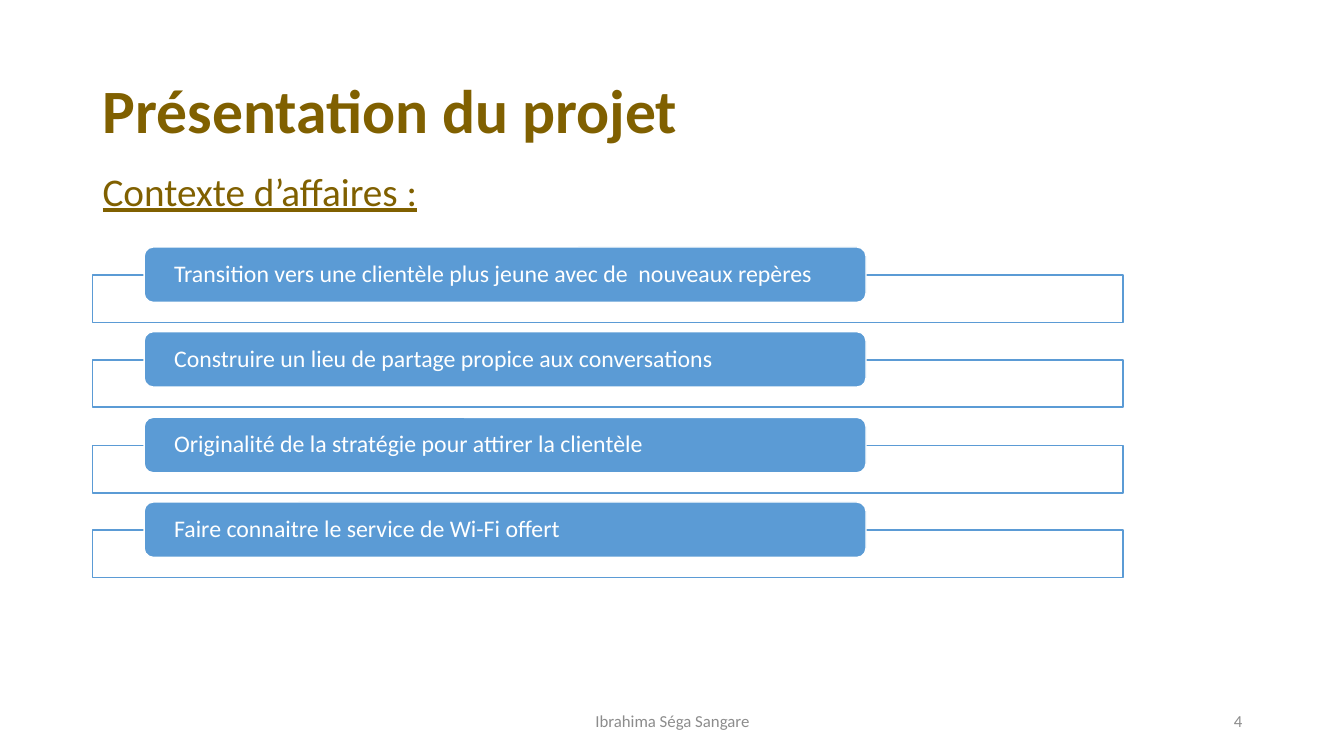
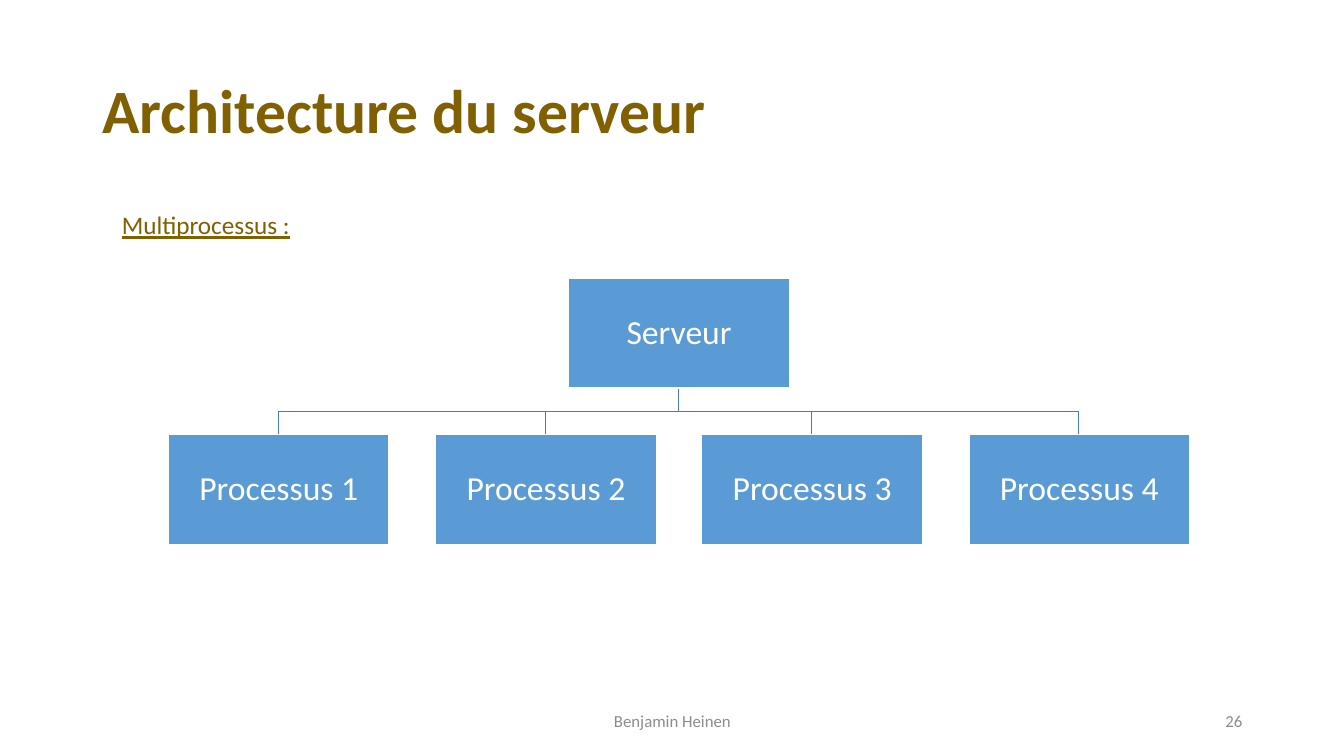
from dataclasses import dataclass

import pptx
import pptx.dml.color
import pptx.enum.shapes
import pptx.enum.text
import pptx.util

SHAPE = pptx.enum.shapes.MSO_SHAPE
ALIGN = pptx.enum.text.PP_ALIGN
ANCHOR = pptx.enum.text.MSO_ANCHOR


@dataclass(frozen=True)
class Theme:
    font: str = "Calibri"
    gold: str = "806000"
    blue: str = "5B9BD5"
    link: str = "497CAB"
    white: str = "FFFFFF"
    grey: str = "8C8C8C"
    title: int = 44
    heading: int = 28
    subheading: int = 18
    card: int = 17
    node: int = 24
    footer: int = 12


THEME = Theme()


def px(value):
    """Convert px (100 to the inch) to EMU."""
    return pptx.util.Emu(round(value) * 9144)


def rgb(value):
    return pptx.dml.color.RGBColor.from_string(value)


def write(shape, text, size, color, align=ALIGN.LEFT, anchor=ANCHOR.MIDDLE,
          spacing=None, bold=False, underline=False, insets=(10, 5)):
    """Put one styled paragraph in a shape; insets are (sides, top and bottom)."""
    frame = shape.text_frame
    frame.word_wrap = True
    frame.vertical_anchor = anchor
    frame.margin_left = frame.margin_right = px(insets[0])
    frame.margin_top = frame.margin_bottom = px(insets[1])
    paragraph = frame.paragraphs[0]
    paragraph.text = text
    paragraph.alignment = align
    if spacing:
        paragraph.line_spacing = spacing
    font = paragraph.font
    font.name = THEME.font
    font.size = pptx.util.Pt(size)
    font.color.rgb = rgb(color)
    font.bold = bold
    font.underline = underline


def add_text(slide, box, text, size, color, **style):
    label = slide.shapes.add_textbox(*map(px, box))
    write(label, text, size, color, **style)


def outline(shape, color):
    shape.shadow.inherit = False
    shape.line.color.rgb = rgb(color)
    shape.line.width = pptx.util.Pt(1)


def add_block(slide, preset, box, fill, line):
    block = slide.shapes.add_shape(preset, *map(px, box))
    block.fill.solid()
    block.fill.fore_color.rgb = rgb(fill)
    outline(block, line)
    return block


def add_branch(slide, start, end):
    """Draw an open bent line between (x, y) points, turning at half height."""
    (start_x, start_y), (end_x, end_y) = start, end
    turn_y = (start_y + end_y) / 2
    corners = [(start_x, turn_y), (end_x, turn_y), (end_x, end_y)]
    builder = slide.shapes.build_freeform(px(start_x), px(start_y))
    builder.add_line_segments([(px(x), px(y)) for x, y in corners], close=False)
    branch = builder.convert_to_shape()
    branch.fill.background()
    outline(branch, THEME.link)


def add_page(deck, title, author, number):
    """Add a blank slide with the shared title and footer."""
    slide = deck.slides.add_slide(deck.slide_layouts[6])
    add_text(slide, (92, 40, 1150, 145), title, THEME.title, THEME.gold,
             spacing=0.9, bold=True)
    add_text(slide, (442, 695, 450, 40), author, THEME.footer, THEME.grey,
             align=ALIGN.CENTER)
    add_text(slide, (942, 695, 300, 40), str(number), THEME.footer, THEME.grey,
             align=ALIGN.RIGHT)
    return slide


def add_cards(slide, topics):
    """Stack frames, each with a rounded label over its top edge."""
    first_top, last_top = 273, 526
    pitch = (last_top - first_top) / (len(topics) - 1)
    for index, topic in enumerate(topics):
        top = first_top + index * pitch
        add_block(slide, SHAPE.RECTANGLE, (92, top, 1022, 47),
                  THEME.white, THEME.blue)
        label = add_block(slide, SHAPE.ROUNDED_RECTANGLE,
                          (143, top - 28, 716, 55), THEME.blue, THEME.white)
        write(label, topic, THEME.card, THEME.white, spacing=0.9, insets=(27, 0))


def add_tree(slide, root_name, child_names):
    """Draw a root centred over its children, with the branches behind."""
    width, height = 219, 109
    root_top, child_top = 276, 431
    first_left, last_left = 167, 961
    root_left = (first_left + last_left) / 2
    pitch = (last_left - first_left) / (len(child_names) - 1)
    child_lefts = [first_left + index * pitch for index in range(len(child_names))]

    for left in child_lefts:
        add_branch(slide, (root_left + width // 2, root_top + height),
                   (left + width // 2, child_top))

    nodes = [(root_left, root_top, root_name)]
    nodes += [(left, child_top, name) for left, name in zip(child_lefts, child_names)]
    for left, top, name in nodes:
        node = add_block(slide, SHAPE.RECTANGLE, (left, top, width, height),
                         THEME.blue, THEME.white)
        write(node, name, THEME.node, THEME.white, align=ALIGN.CENTER,
              spacing=0.9, insets=(2, 2))


def main():
    deck = pptx.Presentation()
    deck.slide_width, deck.slide_height = px(1333), px(750)

    context = add_page(deck, "Présentation du projet", "Ibrahima Séga Sangare", 4)
    add_text(context, (92, 166, 1150, 476), "Contexte d’affaires :", THEME.heading,
             THEME.gold, anchor=ANCHOR.TOP, spacing=0.9, underline=True)
    add_cards(context, [
        "Transition vers une clientèle plus jeune avec de  nouveaux repères",
        "Construire un lieu de partage propice aux conversations",
        "Originalité de la stratégie pour attirer la clientèle",
        "Faire connaitre le service de Wi-Fi offert",
    ])

    server = add_page(deck, "Architecture du serveur", "Benjamin Heinen", 26)
    add_text(server, (111, 203, 253, 40), "Multiprocessus :", THEME.subheading,
             THEME.gold, anchor=ANCHOR.TOP, underline=True)
    add_tree(server, "Serveur", [f"Processus {rank}" for rank in range(1, 5)])

    deck.save("out.pptx")


if __name__ == "__main__":
    main()
